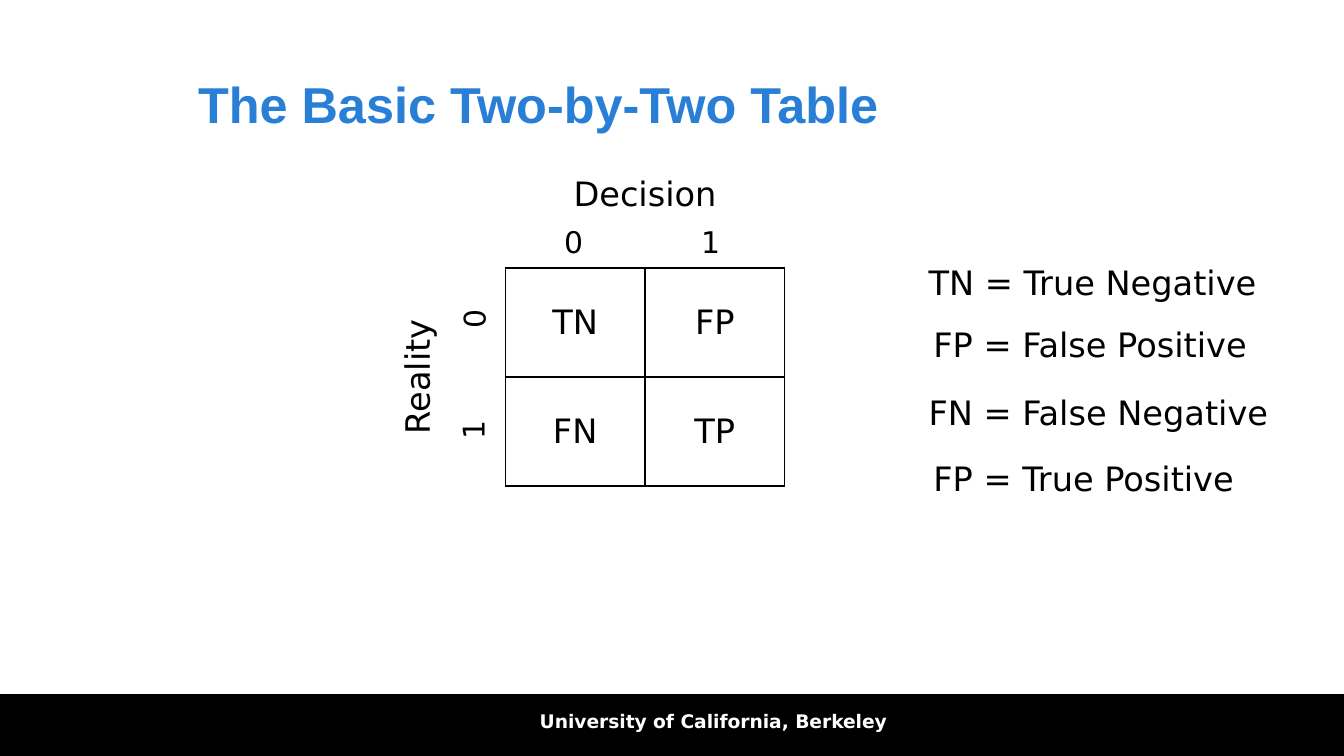
from dataclasses import dataclass

from lxml import etree
from pptx import Presentation
from pptx.dml.color import RGBColor
from pptx.enum.shapes import MSO_SHAPE
from pptx.enum.text import MSO_ANCHOR, MSO_AUTO_SIZE, PP_ALIGN
from pptx.oxml.ns import qn
from pptx.slide import Slide
from pptx.text.text import TextFrame
from pptx.util import Cm, Pt

RECTANGLE = MSO_SHAPE.RECTANGLE
MIDDLE = MSO_ANCHOR.MIDDLE
LEFT, CENTER = PP_ALIGN.LEFT, PP_ALIGN.CENTER
FIT_SHAPE = MSO_AUTO_SIZE.SHAPE_TO_FIT_TEXT

BLACK = RGBColor(0x00, 0x00, 0x00)
WHITE = RGBColor(0xFF, 0xFF, 0xFF)
BLUE = RGBColor(0x29, 0x7F, 0xD5)

BODY_FONT = "DejaVu Sans"
BODY = {"name": BODY_FONT, "size": Pt(18), "bold": False}
AXIS_VALUE = {**BODY, "size": Pt(16)}
TITLE = {"name": "Arial", "size": Pt(27), "bold": True}
FOOTER = {"name": BODY_FONT, "size": Pt(10), "bold": True}


@dataclass
class Label:
    """A one-line text box; lengths in centimetres."""
    text: str
    left: float
    top: float
    width: float
    height: float = 1.02
    rotation: int = 0
    font: dict | None = None


AXIS_LABELS = [
    Label("Decision", 10.59, 3.15, 3.3),
    Label("Reality", 6.53, 6.6, 2.69, rotation=270),
    Label("0", 10.41, 4.11, 0.86, 0.94, font=AXIS_VALUE),
    Label("1", 13, 4.11, 0.86, 0.94, font=AXIS_VALUE),
    Label("0", 8.53, 5.56, 0.86, 0.94, 270, AXIS_VALUE),
    Label("1", 8.51, 7.65, 0.86, 0.94, 270, AXIS_VALUE),
]
LEGEND_LABELS = [
    Label("TN = True Negative", 17.3, 4.83, 6.85),
    Label("FP = False Positive", 17.39, 5.99, 6.6),
    Label("FN = False Negative", 17.3, 7.29, 7.05),
    Label("FP = True Positive", 17.39, 8.53, 6.35),
]
OUTCOMES = [["TN", "FP"], ["FN", "TP"]]
COLUMN_WIDTH, ROW_HEIGHT = Cm(2.64), Cm(2.06)


def write(frame: TextFrame, text: str, font: dict, color: RGBColor = BLACK,
          alignment: PP_ALIGN = LEFT) -> None:
    paragraph = frame.paragraphs[0]
    paragraph.alignment = alignment
    run = paragraph.add_run()
    run.text = text
    for name, value in font.items():
        setattr(run.font, name, value)
    run.font.color.rgb = color


def add_label(slide: Slide, label: Label) -> None:
    box = slide.shapes.add_textbox(
        Cm(label.left), Cm(label.top), Cm(label.width), Cm(label.height))
    box.rotation = label.rotation
    box.text_frame.word_wrap = False
    box.text_frame.auto_size = FIT_SHAPE
    write(box.text_frame, label.text, label.font or BODY)


def add_borders(cell) -> None:
    properties = cell._tc.get_or_add_tcPr()
    for index, side in enumerate(("a:lnL", "a:lnR", "a:lnT", "a:lnB")):
        line = etree.Element(qn(side), w=str(Pt(1)))
        fill = etree.SubElement(line, qn("a:solidFill"))
        etree.SubElement(fill, qn("a:srgbClr"), val=str(BLACK))
        properties.insert(index, line)


def add_outcome_table(slide: Slide) -> None:
    rows, columns = len(OUTCOMES), len(OUTCOMES[0])
    table = slide.shapes.add_table(
        rows, columns, Cm(9.55), Cm(5.07),
        columns * COLUMN_WIDTH, rows * ROW_HEIGHT).table
    table.first_row = table.horz_banding = False
    for column in table.columns:
        column.width = COLUMN_WIDTH
    for row, outcomes in zip(table.rows, OUTCOMES):
        row.height = ROW_HEIGHT
        for cell, outcome in zip(row.cells, outcomes):
            cell.fill.background()
            cell.vertical_anchor = MIDDLE
            write(cell.text_frame, outcome, BODY, alignment=CENTER)
            add_borders(cell)


def add_footer(slide: Slide, width: int) -> None:
    bar = slide.shapes.add_shape(RECTANGLE, 0, Cm(13.12), width, Cm(1.17))
    bar.shadow.inherit = False
    bar.fill.solid()
    bar.fill.fore_color.rgb = BLACK
    bar.line.fill.background()

    box = slide.shapes.add_textbox(Cm(5.44), Cm(13.3), Cm(16.08), Cm(0.89))
    box.text_frame.word_wrap = True
    write(box.text_frame, "University of California, Berkeley", FOOTER, WHITE, CENTER)


def main() -> None:
    presentation = Presentation()
    presentation.slide_width, presentation.slide_height = Cm(25.4), Cm(14.29)
    slide = presentation.slides.add_slide(presentation.slide_layouts[5])

    # Title
    title = slide.shapes.title
    title.left, title.top, title.width, title.height = (
        Cm(3.49), Cm(0.76), Cm(18.26), Cm(2.39))
    title.text_frame.vertical_anchor = MIDDLE
    write(title.text_frame, "The Basic Two-by-Two Table", TITLE, BLUE)

    # Footer, table, axis labels and legend
    add_footer(slide, presentation.slide_width)
    add_outcome_table(slide)
    for label in AXIS_LABELS + LEGEND_LABELS:
        add_label(slide, label)

    presentation.save("out.pptx")


if __name__ == "__main__":
    main()
